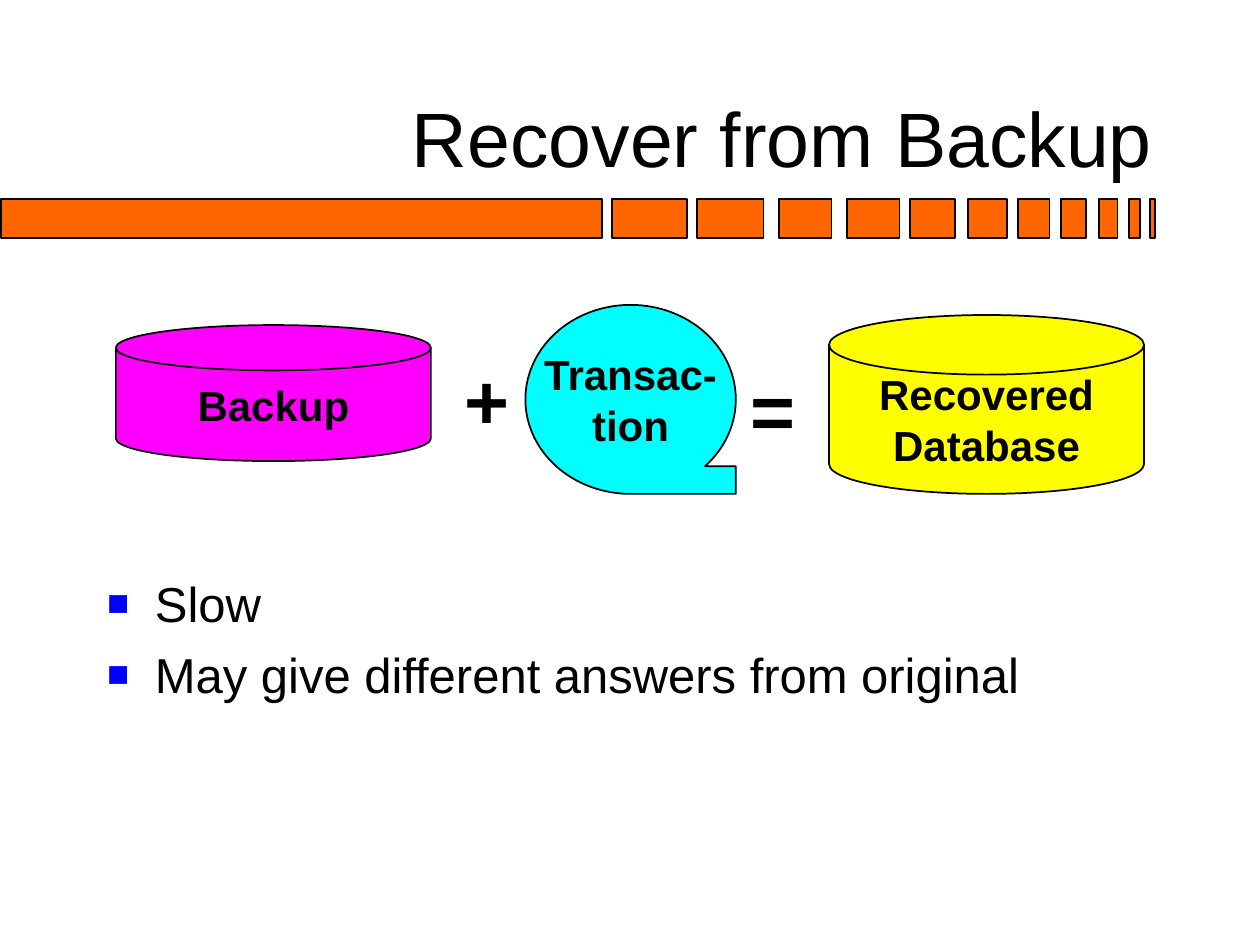
from lxml import etree
from pptx import Presentation
from pptx.dml.color import RGBColor
from pptx.enum.shapes import MSO_SHAPE
from pptx.enum.text import MSO_ANCHOR, MSO_AUTO_SIZE, PP_ALIGN
from pptx.oxml.ns import qn
from pptx.util import Inches, Pt

RECT = MSO_SHAPE.RECTANGLE
DISK = MSO_SHAPE.FLOWCHART_MAGNETIC_DISK
TAPE = MSO_SHAPE.FLOWCHART_SEQUENTIAL_ACCESS_STORAGE
LEFT, CENTER, RIGHT = PP_ALIGN.LEFT, PP_ALIGN.CENTER, PP_ALIGN.RIGHT
TOP, MIDDLE, BOTTOM = MSO_ANCHOR.TOP, MSO_ANCHOR.MIDDLE, MSO_ANCHOR.BOTTOM
NO_FIT = MSO_AUTO_SIZE.NONE

BLACK = RGBColor(0x00, 0x00, 0x00)
ORANGE = RGBColor(0xFF, 0x66, 0x00)
PINK = RGBColor(0xFF, 0x00, 0xFF)
CYAN = RGBColor(0x00, 0xFF, 0xFF)
YELLOW = RGBColor(0xFF, 0xFF, 0x00)
BLUE = RGBColor(0x00, 0x00, 0xFF)


class Painter:
    """Holds the text style and the current slide."""
    face = "Arial"

    def __init__(self, slide):
        self.slide = slide

    def label(self, shape, lines, size, bold=False, align=LEFT, anchor=TOP, wrap=False):
        frame = shape.text_frame
        frame.text = "\n".join(lines)
        frame.word_wrap = wrap
        frame.auto_size = NO_FIT
        frame.vertical_anchor = anchor
        for para in frame.paragraphs:
            para.alignment = align
            for run in para.runs:
                font = run.font
                font.name, font.size, font.bold = self.face, Pt(size), bold
                font.color.rgb = BLACK

    def place(self, shape, box):
        shape.left, shape.top, shape.width, shape.height = map(Inches, box)

    def title(self, text, box):
        shape = self.slide.shapes.title
        self.place(shape, box)
        self.label(shape, [text], 44, align=RIGHT, anchor=BOTTOM, wrap=True)

    def bullets(self, lines, box):
        shape = self.slide.placeholders[1]
        self.place(shape, box)
        self.label(shape, lines, 28, wrap=True)
        for i, para in enumerate(shape.text_frame.paragraphs):
            para.space_before = Pt(7 if i else 0)
            props = para._p.get_or_add_pPr()
            props.set("marL", str(Inches(0.38)))
            props.set("indent", str(-Inches(0.38)))
            color = etree.SubElement(props, qn("a:buClr"))
            etree.SubElement(color, qn("a:srgbClr"), val=str(BLUE))
            etree.SubElement(props, qn("a:buSzPct"), val="75000")
            etree.SubElement(props, qn("a:buFont"), typeface=self.face)
            etree.SubElement(props, qn("a:buChar"), char="■")

    def shape(self, kind, box, fill, lines=()):
        shape = self.slide.shapes.add_shape(kind, *map(Inches, box))
        shape.shadow.inherit = False
        shape.fill.solid()
        shape.fill.fore_color.rgb = fill
        shape.line.color.rgb = BLACK
        shape.line.width = Pt(1)
        if lines:
            self.label(shape, lines, 24, bold=True, align=CENTER, anchor=MIDDLE)

    def sign(self, text, box):
        shape = self.slide.shapes.add_textbox(*map(Inches, box))
        self.label(shape, [text], 44, bold=True)


def main():
    deck = Presentation()
    deck.slide_width, deck.slide_height = Inches(10), Inches(7.5)
    pen = Painter(deck.slides.add_slide(deck.slide_layouts[1]))

    # Band of shrinking bars: left edge and width
    bars = [(0.01, 4.77), (4.86, 0.59), (5.53, 0.53), (6.18, 0.42),
            (6.72, 0.42), (7.22, 0.36), (7.68, 0.31), (8.08, 0.25),
            (8.42, 0.2), (8.72, 0.15), (8.96, 0.09), (9.13, 0.04)]
    for left, width in bars:
        pen.shape(RECT, (left, 1.58, width, 0.31), ORANGE)

    # Title and list
    pen.title("Recover from Backup", (0.75, 0.21, 8.5, 1.29))
    pen.bullets(["Slow", "May give different answers from original"],
                (0.75, 4.5, 8.5, 2.17))

    # Equation: backup + transaction = recovered database
    pen.shape(DISK, (0.92, 2.58, 2.5, 1.08), PINK, ["Backup"])
    pen.sign("+", (3.59, 2.75, 0.55, 0.84))
    pen.shape(TAPE, (4.17, 2.42, 1.67, 1.5), CYAN, ["Transac-", "tion"])
    pen.sign("=", (5.86, 2.83, 0.55, 0.84))
    pen.shape(DISK, (6.58, 2.5, 2.5, 1.42), YELLOW, ["Recovered", "Database"])

    deck.save("out.pptx")


if __name__ == "__main__":
    main()
